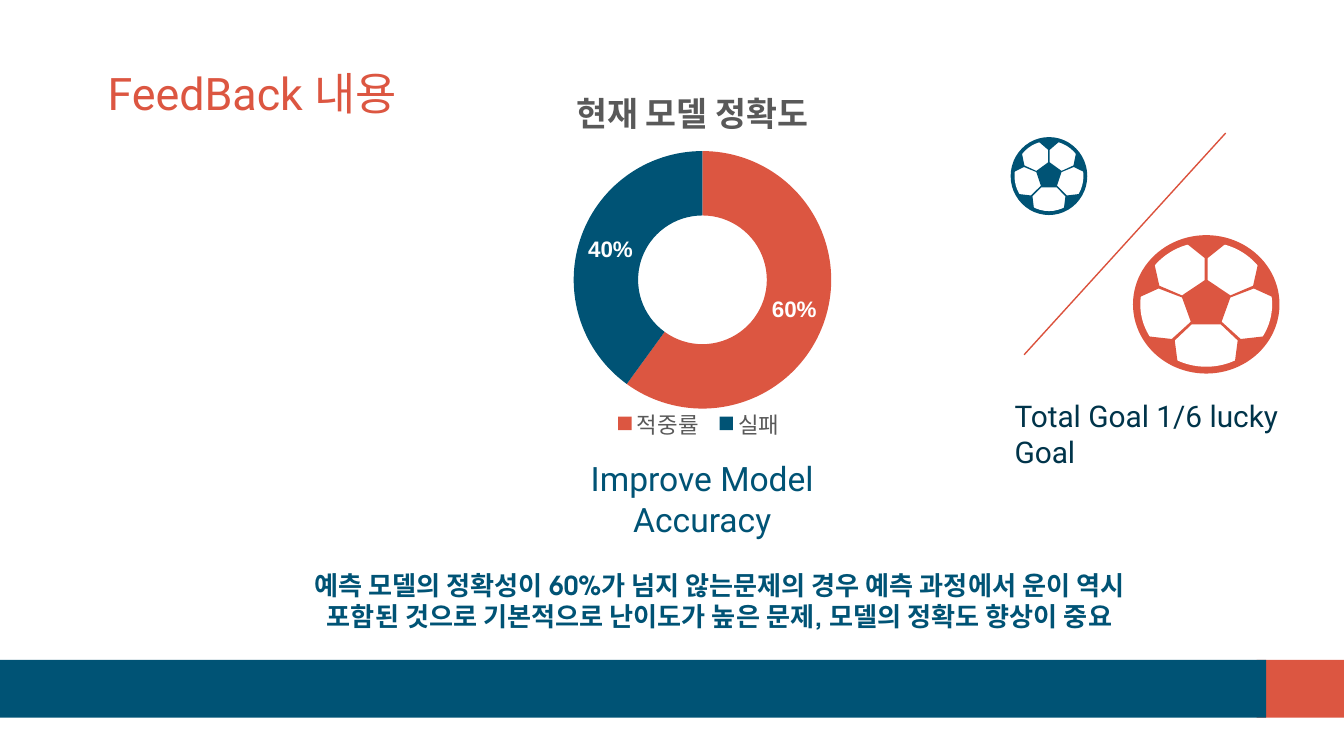
import pptx
import pptx.util
import pptx.oxml
import pptx.oxml.ns
import pptx.chart.data
import pptx.dml.color
import pptx.enum.chart
import pptx.enum.shapes
import pptx.enum.text
import lxml.etree

HEX = {"red": "DC5641", "blue": "005375", "navy": "00344A", "line": "DB513C",
       "grey": "595959", "white": "FFFFFF"}
SHAPE = pptx.enum.shapes.MSO_SHAPE
ALIGN = pptx.enum.text.PP_ALIGN
ANCHOR = pptx.enum.text.MSO_ANCHOR

# Square grid: the slide is 100 columns wide and 56.25 rows high
CELL = pptx.util.Inches(0.1)

# Left half of the ball's patches, from top to bottom, in shares of its radii
HALF = [(-.28, -.89), (-.02, -.67), (-.02, -.35), (-.33, -.13), (-.64, -.27),
        (-.71, -.6), (-.85, -.37), (-.92, -.1), (-.65, -.23), (-.33, -.1),
        (-.21, .25), (-.47, .5), (-.81, .46), (-.62, .68), (-.39, .84),
        (-.43, .52), (-.2, .29)]


def grid(*cells):
    return [pptx.util.Emu(round(n * CELL)) for n in cells]


def color(name):
    return pptx.dml.color.RGBColor.from_string(HEX[name])


def style(font, size, tint, face="Arial", bold=False):
    font.size = pptx.util.Pt(size)
    font.name = face
    font.bold = bold
    font.color.rgb = color(tint)


def paint(shape, tint):
    shape.shadow.inherit = False
    shape.fill.solid()
    shape.fill.fore_color.rgb = color(tint)
    shape.line.fill.background()


def block(slide, kind, area, tint):
    paint(slide.shapes.add_shape(kind, *grid(*area)), tint)


def write(shape, text, size, tint, face="Roboto", bold=False,
          align=ALIGN.LEFT, anchor=ANCHOR.MIDDLE, inset=(1, 1, 1, 1)):
    frame = shape.text_frame
    frame.word_wrap = True
    frame.auto_size = pptx.enum.text.MSO_AUTO_SIZE.NONE
    frame.vertical_anchor = anchor
    (frame.margin_left, frame.margin_top,
     frame.margin_right, frame.margin_bottom) = grid(*inset)
    frame.text = text
    para = frame.paragraphs[0]
    para.alignment = align
    style(para.runs[0].font, size, tint, face, bold)


def note(slide, area, *args, **opts):
    write(slide.shapes.add_textbox(*grid(*area)), *args, **opts)


def ball(slide, area, tint):
    left, top, wide, high = area
    rim = 0.05
    inner = (left + wide * rim, top + high * rim,
             wide * (1 - 2 * rim), high * (1 - 2 * rim))
    block(slide, SHAPE.OVAL, area, tint)
    block(slide, SHAPE.OVAL, inner, "white")
    # The right half mirrors the left one
    ring = [(0, -.93)] + HALF + [(-x, y) for x, y in reversed(HALF)]
    spots = [grid(left + wide * (1 + x) / 2, top + high * (1 + y) / 2)
             for x, y in ring]
    pen = slide.shapes.build_freeform(*spots[0])
    pen.add_line_segments(spots[1:], close=True)
    paint(pen.convert_to_shape(), tint)


def place(part, index, inner=False, **shares):
    """Give a chart part a fixed layout in shares of the chart."""
    tag = pptx.oxml.ns.qn("c:layout")
    for old in part.findall(tag):
        part.remove(old)
    layout = pptx.oxml.parse_xml(
        "<c:layout %s><c:manualLayout/></c:layout>" % pptx.oxml.ns.nsdecls("c"))
    rules = [("layoutTarget", "inner")] if inner else []
    rules += [("xMode", "edge"), ("yMode", "edge")] + list(shares.items())
    for name, val in rules:
        node = lxml.etree.SubElement(layout[0], pptx.oxml.ns.qn("c:" + name))
        node.set("val", str(val))
    part.insert(index, layout)


def donut(slide, area):
    data = pptx.chart.data.CategoryChartData()
    data.categories = ["적중률", "실패"]
    data.add_series("Series 1", (60, 40))
    chart = slide.shapes.add_chart(
        pptx.enum.chart.XL_CHART_TYPE.DOUGHNUT, *grid(*area), data).chart
    style(chart.font, 10, "grey")

    # Title and legend
    chart.has_title = True
    frame = chart.chart_title.text_frame
    frame.text = "현재 모델 정확도"
    style(frame.paragraphs[0].runs[0].font, 18, "grey", bold=True)
    chart.has_legend = True
    legend = chart.legend
    legend.position = pptx.enum.chart.XL_LEGEND_POSITION.TOP
    legend.include_in_layout = False
    style(legend.font, 12, "grey")

    # Slices and their labels
    plot = chart.plots[0]
    plot.vary_by_categories = True
    for index, tint in enumerate(("red", "blue")):
        fill = plot.series[0].points[index].format.fill
        fill.solid()
        fill.fore_color.rgb = color(tint)
    plot.has_data_labels = True
    labels = plot.data_labels
    labels.show_percentage = True
    labels.show_value = False
    labels.number_format = "0%"
    labels.number_format_is_linked = False
    style(labels.font, 12, "white", bold=True)

    # Layout of the parts
    parts = chart._chartSpace.find(pptx.oxml.ns.qn("c:chart"))
    place(parts.find(pptx.oxml.ns.qn("c:title")), 1, x=0.14, y=0.04)
    place(parts.find(pptx.oxml.ns.qn("c:legend")), 1,
          x=0.24, y=0.82, w=0.54, h=0.08)
    place(parts.find(pptx.oxml.ns.qn("c:plotArea")), 0, inner=True,
          x=0.15, y=0.2, w=0.74, h=0.64)


def slash(slide, start, end):
    line = slide.shapes.add_connector(
        pptx.enum.shapes.MSO_CONNECTOR.STRAIGHT, *grid(*start, *end))
    line.line.color.rgb = color("line")
    line.line.width = pptx.util.Pt(0.75)
    lxml.etree.SubElement(line._element.spPr, pptx.oxml.ns.qn("a:effectLst"))


def main():
    deck = pptx.Presentation()
    deck.slide_width, deck.slide_height = grid(100, 56.25)
    slide = deck.slides.add_slide(deck.slide_layouts[5])

    # Footer band
    block(slide, SHAPE.RECTANGLE, (93.5, 49.1, 6.5, 4.3), "red")
    block(slide, SHAPE.RECTANGLE, (0, 49.1, 94.2, 4.3), "blue")

    # Title
    title = slide.shapes.title
    title.left, title.top, title.width, title.height = grid(7, 4.75, 88.2, 4.3)
    write(title, "FeedBack 내용", 24, "red")

    # Model accuracy
    donut(slide, (38.8, 4.5, 25.9, 31.4))
    note(slide, (41.2, 31.7, 22.1, 7.8), "Improve Model Accuracy", 18, "blue",
         align=ALIGN.CENTER, inset=(1, 4, 1, 1))
    note(slide, (22, 40.95, 63.1, 7.5),
         "예측 모델의 정확성이 60%가 넘지 않는문제의 경우 예측 과정에서 운이 "
         "역시 포함된 것으로 기본적으로 난이도가 높은 문제, "
         "모델의 정확도 향상이 중요",
         14, "blue", face="TeX Gyre Adventor", bold=True, align=ALIGN.CENTER)

    # Goal ratio
    ball(slide, (84.3, 17.5, 10.9, 10.3), "red")
    ball(slide, (75.2, 10.2, 5.7, 5.8), "blue")
    slash(slide, (76.2, 26.4), (91.2, 9.9))
    note(slide, (74.5, 29.1, 22.9, 3.7), "Total Goal 1/6 lucky Goal", 16, "navy",
         anchor=ANCHOR.TOP, inset=(1, 0.5, 1, 0.5))

    deck.save("out.pptx")


if __name__ == "__main__":
    main()
